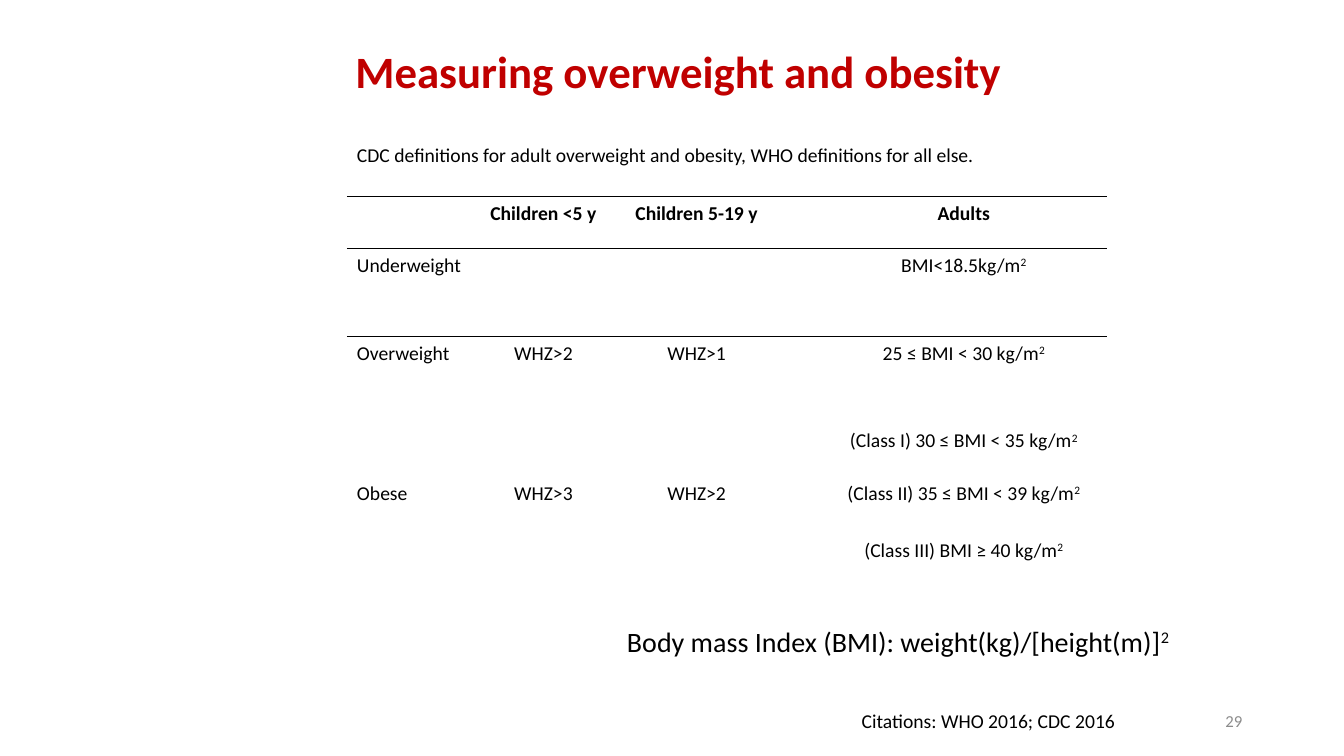
from lxml.etree import SubElement
from pptx import Presentation
from pptx.dml.color import RGBColor
from pptx.enum.text import MSO_ANCHOR, MSO_AUTO_SIZE, PP_ALIGN
from pptx.oxml.ns import qn
from pptx.util import Inches, Pt

FONT = "Calibri"
RED = RGBColor(0xC0, 0x00, 0x00)
BLACK = RGBColor(0x00, 0x00, 0x00)
GREY = RGBColor(0x8C, 0x8C, 0x8C)
NO_TABLE_STYLE = "{2D5ABB26-0587-4C30-8999-92F81FD0307C}"

TITLE = "Measuring overweight and obesity"
# "^" marks the start of a superscript at the end of a text
FORMULA = "Body mass Index (BMI): weight(kg)/[height(m)]^2"
CITATIONS = "Citations: WHO 2016; CDC 2016"
PAGE_NUMBER = "29"
DEFINITIONS = [
    ["CDC definitions for adult overweight and obesity, WHO definitions for all else.",
     "", "", "", ""],
    ["", "Children <5 y", "Children 5-19 y", "", "Adults"],
    ["Underweight", "", "", "", "BMI<18.5kg/m^2"],
    ["Overweight", "WHZ>2", "WHZ>1", "", "25 ≤ BMI < 30 kg/m^2"],
    ["", "", "", "", "(Class I) 30 ≤ BMI < 35 kg/m^2"],
    ["Obese", "WHZ>3", "WHZ>2", "", "(Class II) 35 ≤ BMI < 39 kg/m^2"],
    ["", "", "", "", "(Class III) BMI ≥ 40 kg/m^2"],
]
CAPTION_ROW, HEADER_ROW = 0, 1
COLUMN_WIDTHS = [1.24, 1.42, 1.62, 0.42, 2.84]
ROW_HEIGHTS = [0.57, 0.52, 0.87, 0.87, 0.52, 0.57, 0.52]


def write(frame, text, size, color=BLACK, align=PP_ALIGN.LEFT, bold=False):
    paragraph = frame.paragraphs[0]
    paragraph.alignment = align
    base, _, superscript = text.partition("^")
    for part in filter(None, (base, superscript)):
        run = paragraph.add_run()
        run.text = part
        run.font.name, run.font.size, run.font.bold = FONT, Pt(size), bold
        run.font.color.rgb = color
    if superscript:
        run.font._element.set("baseline", "30000")
    return paragraph


def add_text(slide, box, text, size, **style):
    frame = slide.shapes.add_textbox(*map(Inches, box)).text_frame
    frame.word_wrap = True
    return write(frame, text, size, **style)


def add_rule(cell, edge):
    """Draw a black 1 pt border on one edge of the cell: lnT or lnB."""
    line = SubElement(cell._tc.get_or_add_tcPr(), qn(f"a:{edge}"), w=str(Pt(1)))
    fill = SubElement(line, qn("a:solidFill"))
    SubElement(fill, qn("a:srgbClr"), val=str(BLACK))


def add_definitions(slide, left, top):
    frame = slide.shapes.add_table(
        len(ROW_HEIGHTS), len(COLUMN_WIDTHS), Inches(left), Inches(top),
        Inches(sum(COLUMN_WIDTHS)), Inches(sum(ROW_HEIGHTS)))
    table = frame.table
    table.first_row = table.horz_banding = False
    table._tbl.tblPr.find(qn("a:tableStyleId")).text = NO_TABLE_STYLE
    for column, width in zip(table.columns, COLUMN_WIDTHS):
        column.width = Inches(width)
    for row, height in zip(table.rows, ROW_HEIGHTS):
        row.height = Inches(height)
    table.cell(CAPTION_ROW, 0).merge(table.cell(CAPTION_ROW, len(COLUMN_WIDTHS) - 1))

    for r, texts in enumerate(DEFINITIONS):
        for c, text in enumerate(texts):
            cell = table.cell(r, c)
            if r in (HEADER_ROW, HEADER_ROW + 1):
                add_rule(cell, "lnT")
            if r in (CAPTION_ROW, HEADER_ROW):
                add_rule(cell, "lnB")
            cell.fill.background()
            if text:
                write(cell.text_frame, text, 14, bold=r == HEADER_ROW,
                      align=PP_ALIGN.CENTER if c else PP_ALIGN.LEFT)


def main():
    presentation = Presentation()
    presentation.slide_width, presentation.slide_height = Inches(13.33), Inches(7.5)
    slide = presentation.slides.add_slide(presentation.slide_layouts[5])

    title = slide.shapes.title
    title.left, title.top, title.width, title.height = map(Inches, (1.21, 0.44, 11.04, 0.59))
    title.text_frame.auto_size = MSO_AUTO_SIZE.NONE
    title.text_frame.vertical_anchor = MSO_ANCHOR.TOP
    write(title.text_frame, TITLE, 32, RED, PP_ALIGN.CENTER, bold=True).line_spacing = 0.9

    add_definitions(slide, 3.44, 1.38)
    formula = add_text(slide, (6.12, 6.12, 5.71, 0.83), FORMULA, 20)
    formula.line_spacing = 1.07
    add_text(slide, (8.42, 6.98, 2.74, 0.34), CITATIONS, 14, align=PP_ALIGN.RIGHT)
    add_text(slide, (9.42, 7.0, 3, 0.3), PAGE_NUMBER, 12, color=GREY, align=PP_ALIGN.RIGHT)

    presentation.save("out.pptx")


if __name__ == "__main__":
    main()
